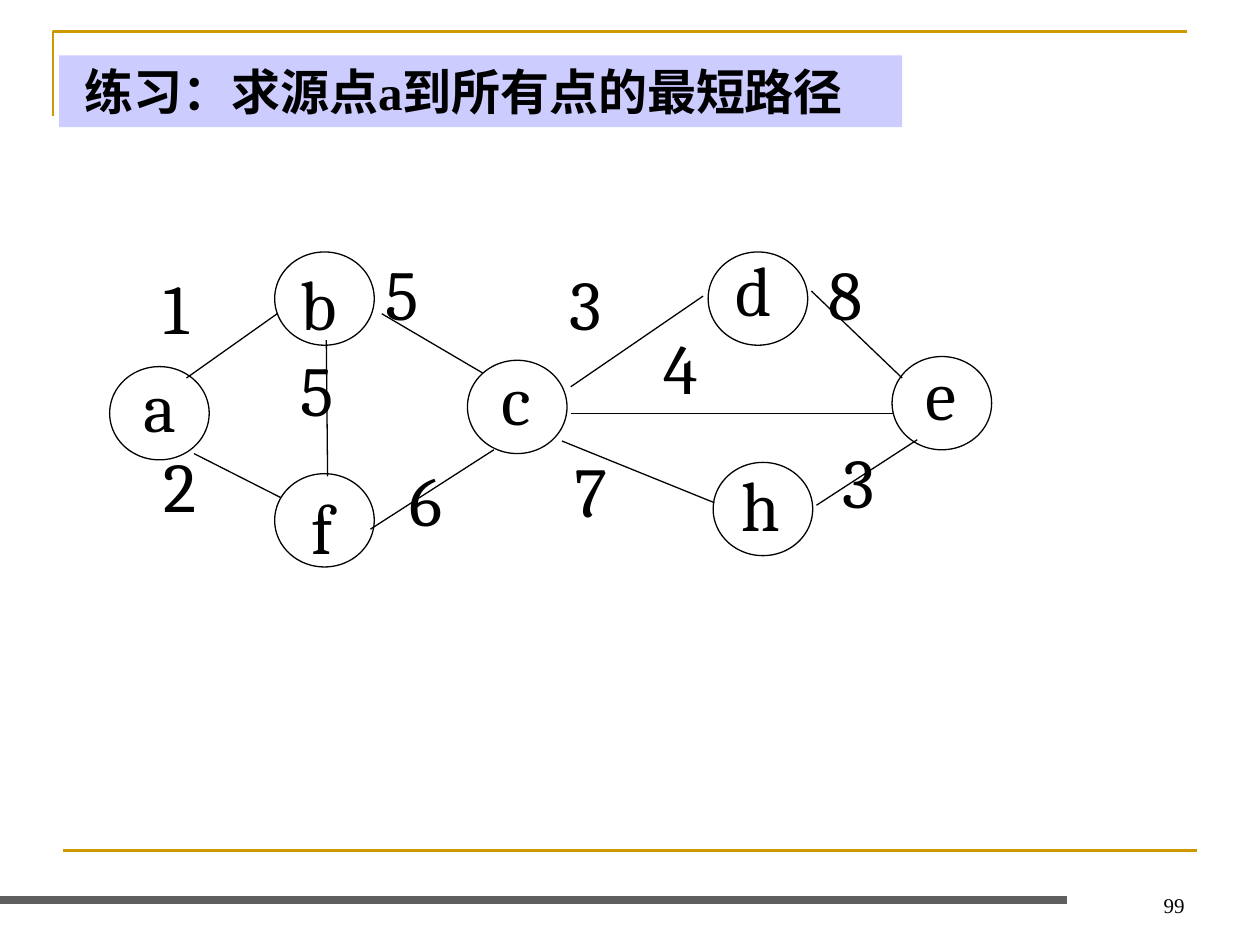
import pptx
import pptx.dml.color
import pptx.enum.shapes
import pptx.enum.text
import pptx.oxml.ns
import pptx.util
from lxml import etree

BLACK = pptx.dml.color.RGBColor(0x00, 0x00, 0x00)
WHITE = pptx.dml.color.RGBColor(0xFF, 0xFF, 0xFF)
GOLD = pptx.dml.color.RGBColor(0xCC, 0x99, 0x00)
GREY = pptx.dml.color.RGBColor(0x5F, 0x5F, 0x5F)
LAVENDER = pptx.dml.color.RGBColor(0xCC, 0xCC, 0xFF)

deck = pptx.Presentation()
deck.slide_width = pptx.util.Inches(10)
deck.slide_height = pptx.util.Inches(7.5)
page = deck.slides.add_slide(deck.slide_layouts[5])

# The page is a grid of 100 columns by 75 rows.
COLUMN = deck.slide_width / 100
ROW = deck.slide_height / 75


def add_line(start, end, color, width):
    line = page.shapes.add_connector(
        pptx.enum.shapes.MSO_CONNECTOR.STRAIGHT,
        round(start[0] * COLUMN), round(start[1] * ROW),
        round(end[0] * COLUMN), round(end[1] * ROW))
    line.line.color.rgb = color
    line.line.width = pptx.util.Pt(width)
    etree.SubElement(line._element.spPr, pptx.oxml.ns.qn("a:effectLst"))


def add_text(text, left, top, width, height, size, font_name):
    box = page.shapes.add_textbox(round(left * COLUMN), round(top * ROW),
                                  round(width * COLUMN), round(height * ROW))
    box.text_frame.word_wrap = True
    para = box.text_frame.paragraphs[0]
    para.text = text
    para.font.size = pptx.util.Pt(size)
    para.font.name = font_name
    para.font.color.rgb = BLACK
    return box


# Page frame
builder = page.shapes.build_freeform(round(4.2 * COLUMN), round(9.2 * ROW))
builder.add_line_segments(
    [(round(4.2 * COLUMN), round(2.5 * ROW)),
     (round(94.2 * COLUMN), round(2.5 * ROW))], close=False)
corner = builder.convert_to_shape()
corner.fill.background()
corner.line.color.rgb = GOLD
corner.line.width = pptx.util.Pt(1.5)
corner.shadow.inherit = False
add_line((5, 67.5), (95, 67.5), GOLD, 1.5)
add_line((0, 71.4), (84.7, 71.4), GREY, 4.5)

number = add_text("99", 71.7, 68.3, 23.3, 5, 12, "Times New Roman")
number.text_frame.vertical_anchor = pptx.enum.text.MSO_ANCHOR.BOTTOM
number.text_frame.paragraphs[0].alignment = pptx.enum.text.PP_ALIGN.RIGHT

# Title
title = page.shapes.title
title.left, title.top = round(4.7 * COLUMN), round(4.4 * ROW)
title.width, title.height = round(66.9 * COLUMN), round(5.7 * ROW)
title.fill.solid()
title.fill.fore_color.rgb = LAVENDER
frame = title.text_frame
frame.word_wrap = True
frame.auto_size = pptx.enum.text.MSO_AUTO_SIZE.NONE
frame.vertical_anchor = pptx.enum.text.MSO_ANCHOR.TOP
frame.margin_left = round(2 * COLUMN)
para = frame.paragraphs[0]
para.alignment = pptx.enum.text.PP_ALIGN.LEFT
span = para.add_run()
span.text = "练习：求源点a到所有点的最短路径"
span.font.size = pptx.util.Pt(28)
span.font.bold = True
span.font.name = "Times New Roman"
span.font.color.rgb = BLACK
etree.SubElement(span.font._element, pptx.oxml.ns.qn("a:ea"),
                 typeface="Noto Sans CJK SC")

# Graph nodes: circle left and top, letter box left and top
nodes = {
    "a": (8.7, 29.1, 10.4, 28.3),
    "b": (21.8, 20, 22.9, 20.2),
    "c": (37.1, 28.6, 38.8, 27.7),
    "d": (56.2, 20, 57.4, 19.1),
    "e": (70.8, 28.3, 72.5, 27.3),
    "f": (21.8, 37.6, 23.7, 38),
    "h": (56.6, 36.7, 57.9, 36.1),
}
for name, (left, top, text_left, text_top) in nodes.items():
    circle = page.shapes.add_shape(
        pptx.enum.shapes.MSO_SHAPE.OVAL, round(left * COLUMN),
        round(top * ROW), round(7.9 * COLUMN), round(7.4 * ROW))
    circle.shadow.inherit = False
    circle.fill.solid()
    circle.fill.fore_color.rgb = WHITE
    circle.line.color.rgb = BLACK
    circle.line.width = pptx.util.Pt(0.75)
    add_text(name, text_left, text_top, 13.1, 14.5, 40, "Cambria")

# Graph edges: start, end, weight, weight box left and top
edges = [
    ((22, 24.9), (14.8, 30), "1", 12, 20.5),
    ((15.4, 36), (22.3, 39.5), "2", 12, 34.6),
    ((25.9, 27), (26, 37.8), "5", 22.9, 27),
    ((30.3, 24.9), (38.3, 29.6), "5", 29.6, 19.4),
    ((39.2, 35.7), (29.4, 42), "6", 31.5, 35.7),
    ((55.8, 23.5), (45.3, 30.7), "3", 44.2, 20.2),
    ((45.3, 32.8), (70.9, 32.8), "4", 51.7, 25.3),
    ((44.6, 35), (56.7, 39.9), "7", 44.6, 35),
    ((64.4, 23.1), (71.6, 30), "8", 64.8, 19.4),
    ((72.8, 34.9), (64.8, 40.1), "3", 65.9, 34.3),
]
for start, end, weight, left, top in edges:
    add_line(start, end, BLACK, 0.75)
    add_text(weight, left, top, 10.5, 14.5, 40, "Cambria")

deck.save("out.pptx")
